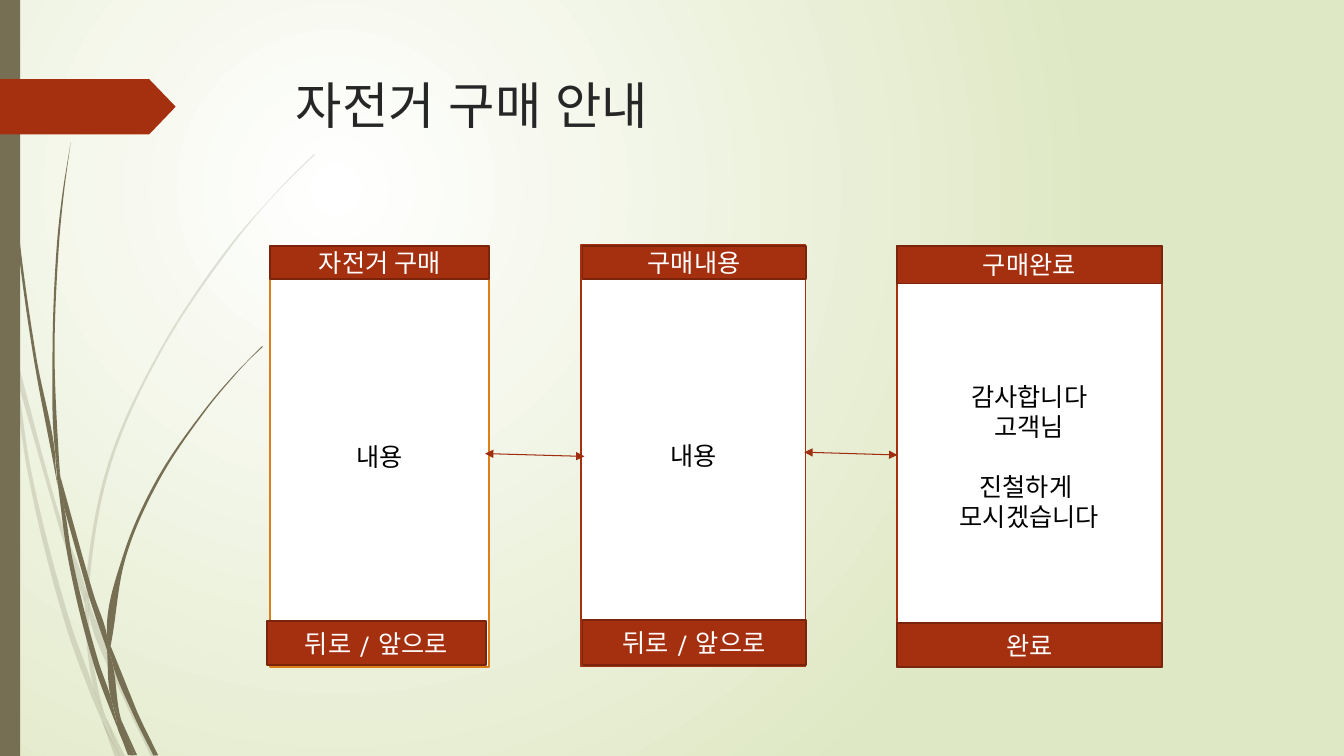
from lxml.etree import SubElement as Sub
from pptx import Presentation as Deck
from pptx.dml.color import RGBColor as RGB
from pptx.enum.shapes import MSO_CONNECTOR as LINK, MSO_SHAPE as FORM
from pptx.enum.text import MSO_ANCHOR as ANCHOR, PP_ALIGN as ALIGN
from pptx.oxml.ns import qn
from pptx.util import Pt

RED = RGB(0xA5, 0x30, 0x10)
RUST = RGB(0x7A, 0x24, 0x0C)
BRICK = RGB(0x9E, 0x2E, 0x0F)
GOLD = RGB(0xDE, 0x7E, 0x18)
OLIVE = RGB(0x76, 0x6F, 0x54)
PALE = RGB(0xDF, 0xE8, 0xC4)
INK = RGB(0x26, 0x26, 0x26)
BLACK = RGB(0, 0, 0)
WHITE = RGB(255, 255, 255)
SANS = "Noto Sans CJK KR"
GEO = "TeX Gyre Adventor"
HIGH = 540

FAINT = [
    [(8, 252), (6.5, 232), (0, 203), (0, 215), (7, 248)],
    [(42, 376), (60.5, 431), (61, 422), (44.5, 374.5), (10, 248.5), (12, 270.5)],
    [(66, 437), (63.5, 429), (63.5, 439), (88.5, 499.5), (108, 540.5), (111.5, 540.5), (91.5, 498)],
    [(85.5, 540.5), (89.5, 540.5), (75.5, 512)],
    [(67, 492), (50.5, 445.5), (22.5, 337.5), (12, 270.5), (8, 252), (20, 338.5), (47, 447),
     (66, 499), (72.5, 514), (71.5, 509)],
    [(60.5, 431), (62.5, 465), (67, 492), (69, 498), (75.5, 512), (74, 508), (65.5, 465),
     (63.5, 439), (63.5, 438)],
    [(63.5, 420.5), (79, 332.5), (115, 251.5), (165, 176.5), (193, 142.5), (209, 126),
     (224.5, 111), (224.5, 110), (208, 126), (193, 142), (164, 175.5), (114, 250.5),
     (77, 332), (61, 420.5), (61, 422), (63.5, 429)],
    [(72.5, 514), (82, 540.5), (85.5, 540.5)],
    [(63.5, 438), (63.5, 439), (63.5, 429), (61, 422), (60.5, 431)],
    [(69, 498), (67, 492), (71.5, 509), (72.5, 514), (85.5, 540.5), (75.5, 512)],
]
SOLID = [
    [(5, 79), (12, 168), (24, 255.5), (40.5, 343.5), (41, 346.5), (39.5, 329), (39.5, 326),
     (26, 255.5), (13.5, 167), (6, 78.5), (3.5, 34.5), (3, 0), (2, 0), (3, 34.5)],
    [(63.5, 426), (76.5, 464.5), (76.5, 454.5), (67, 425), (43, 340), (46, 363.5)],
    [(81.5, 467.5), (79, 461.5), (80, 472.5), (95, 510), (109.5, 539.5), (113, 539.5), (98, 508.5)],
    [(79, 497.5), (70.5, 473), (52, 400.5), (46, 363.5), (41, 343.5), (49, 401), (67, 474.5),
     (80, 510), (84, 520), (83.5, 516)],
    [(43, 340), (42, 326), (39, 251.5), (42, 176.5), (45.5, 139), (50.5, 101.5), (44.5, 139),
     (40.5, 176.5), (37.5, 251.5), (39.5, 323.5)],
    [(96, 539.5), (98, 539.5), (88, 517.5)],
    [(41, 343.5), (46, 363.5), (43, 340), (39.5, 323.5), (39.5, 326)],
    [(80, 456), (90, 397.5), (114, 342.5), (147.5, 292.5), (166.5, 269.5), (176.5, 258.5),
     (188, 247.5), (187, 247.5), (176.5, 258), (166.5, 268.5), (147, 291.5), (112.5, 341.5),
     (88, 396.5), (76.5, 454.5), (79, 461.5)],
    [(84, 520), (91.5, 539.5), (94.5, 539.5)],
    [(76.5, 464.5), (79, 497.5), (83.5, 508.5), (88, 517.5), (87, 515.5), (80, 472.5), (78.5, 468.5)],
    [(76.5, 464.5), (78.5, 468.5), (80, 472.5), (79, 461.5), (76.5, 454.5)],
    [(83.5, 508.5), (79, 497.5), (83.5, 516), (84, 520), (93.5, 539.5), (96, 539.5), (88, 517.5)],
]
THANKS = [("감사합니다", 0), ("고객님", 0), ("진철하게 ", 21.6), ("모시겠습니다", 0)]
STEPS = [
    ((193, 175.5, 156.5, 301), GOLD, (0, 0, 156.5, 24), (-2.5, 268, 156.5, 31.5),
     "자전거 구매", [("내용", 0)], "뒤로 / 앞으로"),
    ((415, 175, 160.5, 301), RED, (1, 0.5, 159.5, 24), (1, 268, 159.5, 32),
     "구매내용", [("내용", 0)], "뒤로 / 앞으로"),
    ((640.5, 175.5, 189.5, 301), RED, (0, 0, 189.5, 27), (0, 269.5, 189.5, 31.5),
     "구매완료", THANKS, "완료"),
]
LINKS = [(346.5, 324, 417.5, 326), (574.5, 323, 641, 325)]


def put(obj, vals):
    """Set attributes of an object from a dict."""
    for key, val in vals.items():
        setattr(obj, key, val)


def paint(shape, fill, line=None):
    """Give a shape a flat fill and an optional outline."""
    shape.shadow.inherit = False
    shape.fill.solid()
    shape.fill.fore_color.rgb = fill
    if line is None:
        shape.line.fill.background()
    else:
        shape.line.color.rgb = line
        shape.line.width = Pt(1.25)


def add_run(para, text, face, size, color):
    """Add a run with the same face for Latin and Korean."""
    run = para.add_run()
    run.text = text
    put(run.font, {"name": face, "size": Pt(size)})
    run.font.color.rgb = color
    Sub(run.font._element, qn("a:ea")).set("typeface", face)


def add_box(slide, box, fill, line, form=FORM.RECTANGLE):
    """Add a painted preset shape."""
    shape = slide.shapes.add_shape(form, *map(Pt, box))
    paint(shape, fill, line)
    shape.text_frame.vertical_anchor = ANCHOR.MIDDLE
    return shape


def add_bar(slide, box, text):
    """Add a red bar with its centred label."""
    para = add_box(slide, box, RED, RUST).text_frame.paragraphs[0]
    para.alignment = ALIGN.CENTER
    left, mark, right = text.partition(" / ")
    for part, face in ((left, SANS), (mark, GEO), (right, SANS)):
        if part:
            add_run(para, part, face, 18, WHITE)


def add_step(slide, box, line, head, foot, title, lines, label):
    """Add one step panel with its head and foot bars."""
    frame = add_box(slide, box, WHITE, line).text_frame
    for i, (text, gap) in enumerate(lines):
        para = frame.add_paragraph() if i else frame.paragraphs[0]
        put(para, {"alignment": ALIGN.CENTER, "space_before": Pt(gap)})
        add_run(para, text, GEO, 18, BLACK)
    for (dx, dy, wide, tall), text in ((head, title), (foot, label)):
        add_bar(slide, (box[0] + dx, box[1] + dy, wide, tall), text)


def add_link(slide, ends):
    """Add a double arrow between two panels."""
    link = slide.shapes.add_connector(LINK.STRAIGHT, *map(Pt, ends))
    link.line.color.rgb = BRICK
    link.line.width = Pt(0.75)
    for tag in ("a:headEnd", "a:tailEnd"):
        Sub(link.line._get_or_add_ln(), qn(tag)).set("type", "triangle")
    Sub(link._element.spPr, qn("a:effectLst"))


def lean(ring, i, chord):
    """Return the handle at a vertex: curved if the turn is gentle."""
    u, v = ring[i] - ring[i - 1], ring[(i + 1) % len(ring)] - ring[i]
    u, v = u / abs(u), v / abs(v)
    way = u + v if (u * v.conjugate()).real > 0.8 else chord
    return way / abs(way) * abs(chord) / 3


def bend(blade):
    """Turn the straight sides of a blade into curves."""
    spots = blade._element.spPr.findall(".//" + qn("a:pt"))
    ring = [complex(int(p.get("x")), int(p.get("y"))) for p in spots]
    for i, spot in enumerate(spots[1:], 1):
        chord = ring[i] - ring[i - 1]
        side = spot.getparent()
        curve = Sub(side.getparent(), qn("a:cubicBezTo"))
        side.getparent().replace(side, curve)
        for p in (ring[i - 1] + lean(ring, i - 1, chord), ring[i] - lean(ring, i, chord), ring[i]):
            Sub(curve, qn("a:pt"), x=str(round(p.real)), y=str(round(p.imag)))


def add_blade(slide, ring, alpha=100):
    """Add one curved piece of grass."""
    first, *rest = [(Pt(x), Pt(y)) for x, y in ring]
    pen = slide.shapes.build_freeform(*first)
    pen.add_line_segments(rest, close=True)
    blade = pen.convert_to_shape()
    paint(blade, OLIVE)
    bend(blade)
    if alpha < 100:
        tint = blade._element.spPr.find(".//" + qn("a:srgbClr"))
        Sub(tint, qn("a:alpha")).set("val", str(alpha * 1000))


def add_scene(slide):
    """Add the glow, the grass, the side bar and the tag."""
    fill = slide.background.fill
    fill.gradient()
    for stop, color, spot in zip(fill.gradient_stops, (WHITE, PALE), (0, 1)):
        stop.color.rgb = color
        stop.position = spot
    grad = slide.background._cSld.find(".//" + qn("a:gradFill"))
    grad.remove(grad.find(qn("a:lin")))
    glow = Sub(grad, qn("a:path"), path="circle")
    Sub(glow, qn("a:fillToRect"), l="50000", t="50000", r="100000", b="100000")
    for rings, alpha in ((FAINT, 20), (SOLID, 100)):
        for ring in rings:
            add_blade(slide, ring, alpha)
    add_box(slide, (0, 0, 14.5, HIGH), OLIVE, None)
    tag = add_box(slide, (0, 56.5, 125.5, 39.5), RED, None, FORM.PENTAGON)
    tag.adjustments[0] = 0.48


def add_title(slide, box, text):
    """Place and fill the title."""
    title = slide.shapes.title
    put(title, dict(zip(("left", "top", "width", "height"), map(Pt, box))))
    put(title.text_frame, {"vertical_anchor": ANCHOR.TOP, "word_wrap": True})
    para = title.text_frame.paragraphs[0]
    para.alignment = ALIGN.LEFT
    add_run(para, text, GEO, 36, INK)


def main():
    """Build the purchase guide slide."""
    deck = Deck()
    put(deck, {"slide_width": Pt(960), "slide_height": Pt(HIGH)})
    slide = deck.slides.add_slide(deck.slide_layouts[5])
    add_scene(slide)
    add_title(slide, (204, 49, 702, 101), "자전거 구매 안내")
    for step in STEPS:
        add_step(slide, *step)
    for ends in LINKS:
        add_link(slide, ends)
    deck.save("out.pptx")


if __name__ == "__main__":
    main()
